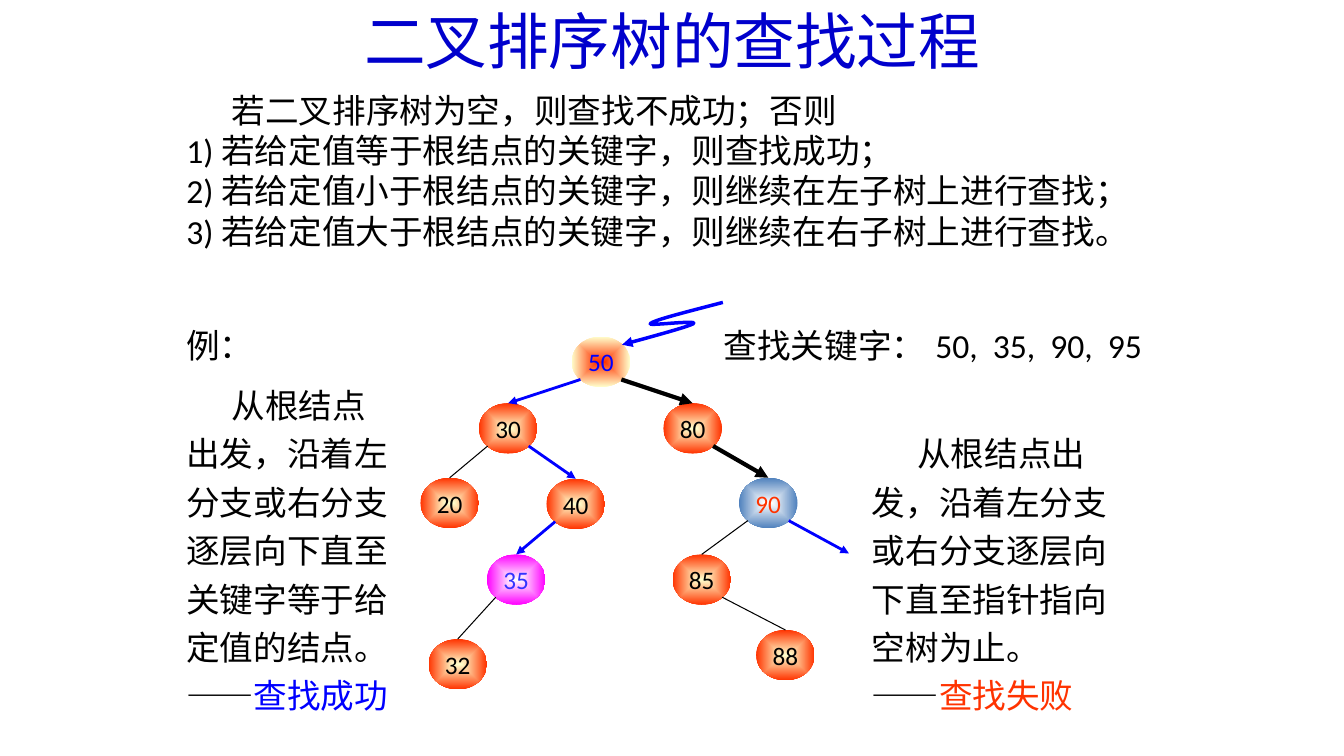
from lxml import etree
from pptx import Presentation
from pptx.dml.color import RGBColor
from pptx.enum.shapes import MSO_CONNECTOR as CONN, MSO_SHAPE as SHAPE
from pptx.enum.text import MSO_ANCHOR as ANCHOR, PP_ALIGN as ALIGN
from pptx.oxml import parse_xml
from pptx.oxml.ns import nsdecls, qn
from pptx.util import Inches, Pt

BLACK = RGBColor(0x00, 0x00, 0x00)
WHITE = RGBColor(0xFF, 0xFF, 0xFF)
BLUE = RGBColor(0x00, 0x00, 0xFF)
NAVY = RGBColor(0x00, 0x00, 0xCC)
INDIGO = RGBColor(0x33, 0x33, 0xFF)
RED = RGBColor(0xFF, 0x33, 0x00)
CREAM = RGBColor(0xFF, 0xFF, 0xCC)
MAGENTA = RGBColor(0xFF, 0x00, 0xFF)
STEEL = RGBColor(0x4F, 0x81, 0xBD)
BODY_FONT, TITLE_FONT = "Calibri", "Noto Sans CJK SC"

# Content
TITLE = "二叉排序树的查找过程"
RULES = ["若二叉排序树为空，则查找不成功；否则",
         "1) 若给定值等于根结点的关键字，则查找成功；",
         "2) 若给定值小于根结点的关键字，则继续在左子树上进行查找；",
         "3) 若给定值大于根结点的关键字，则继续在右子树上进行查找。"]
EXAMPLE = "例："
KEYS = "查找关键字：\t50,\t35,\t90,\t95"
KEY_TABS = [2.1, 2.67, 3.24, 3.81]
SUCCESS = ["从根结点", "出发，沿着左", "分支或右分支", "逐层向下直至", "关键字等于给",
           "定值的结点。", [("——", BLACK), ("查找成功", BLUE)]]
FAILURE = ["从根结点出", "发，沿着左分支", "或右分支逐层向", "下直至指针指向",
           "空树为止。", [("——", BLACK), ("查找失败", RED)]]

# Tree: key -> left, top
NODE_W, NODE_H = 0.58, 0.5
NODES = {50: (5.67, 3.34), 30: (4.75, 4), 80: (6.58, 4), 20: (4.17, 4.74),
         40: (5.42, 4.75), 90: (7.33, 4.74), 35: (4.83, 5.5), 85: (6.67, 5.5),
         32: (4.25, 6.34), 88: (7.5, 6.25)}
PLAIN = (CREAM, RED, BLACK)  # centre, rim, text
MARKED = {50: (RED, CREAM, BLUE), 35: (WHITE, MAGENTA, INDIGO), 90: (WHITE, STEEL, RED)}
EDGES = [(50, 30), (50, 80), (30, 20), (30, 40), (80, 90),
         (40, 35), (90, 85), (35, 32), (85, 88)]
FOUND_PATH = [(50, 30), (30, 40), (40, 35)]
FAILED_PATH = [(50, 80), (80, 90)]
EMPTY_END = (8.42, 5.49)
SQUIGGLE = [(7.17, 3), (6.83, 3.09), (6.5, 3.17), (6.45, 3.21), (6.4, 3.24),
            (6.93, 3.17), (6.88, 3.21), (6.83, 3.24), (6.5, 3.33), (6.17, 3.42)]
CURVE_STEPS = 10

prs = Presentation()
prs.slide_width, prs.slide_height = Inches(13.33), Inches(7.5)
s = prs.slides.add_slide(prs.slide_layouts[6])


def write(tf, lines, size=24, color=BLACK, font=BODY_FONT, align=None,
          spacing=None, indent=0, tabs=()):
    """Fill a text frame; a line is a string or a list of (text, colour)."""
    for i, line in enumerate(lines):
        p = tf.paragraphs[0] if i == 0 else tf.add_paragraph()
        pPr = p._p.get_or_add_pPr()
        if i == 0 and indent:
            pPr.set("indent", str(Inches(indent)))
        if tabs:
            tab_list = etree.SubElement(pPr, qn("a:tabLst"))
            for pos in tabs:
                etree.SubElement(tab_list, qn("a:tab"), pos=str(Inches(pos)), algn="l")
        if align is not None:
            p.alignment = align
        if spacing:
            p.line_spacing = spacing
        for text, tint in [(line, color)] if isinstance(line, str) else line:
            r = p.add_run()
            r.text = text
            r.font.size, r.font.name = Pt(size), font
            r.font.color.rgb = tint
            if font == TITLE_FONT:
                etree.SubElement(r._r.get_or_add_rPr(), qn("a:ea"), typeface=font)


def add_text(x, y, w, h, lines, **fmt):
    tf = s.shapes.add_textbox(*map(Inches, (x, y, w, h))).text_frame
    tf.word_wrap = True
    write(tf, lines, **fmt)


def style_line(shape, color, width, arrow):
    shape.line.color.rgb = color
    shape.line.width = Pt(width)
    if arrow:
        etree.SubElement(shape.line._get_or_add_ln(), qn("a:tailEnd"), type="triangle")


def add_node(key):
    centre, rim, ink = MARKED.get(key, PLAIN)
    sp = s.shapes.add_shape(SHAPE.OVAL, *map(Inches, (*NODES[key], NODE_W, NODE_H)))
    sp.shadow.inherit = False
    sp.line.fill.background()
    sp._element.spPr.find(qn("a:prstGeom")).addnext(parse_xml(
        f'<a:gradFill {nsdecls("a")} rotWithShape="1"><a:gsLst>'
        f'<a:gs pos="0"><a:srgbClr val="{centre}"/></a:gs>'
        f'<a:gs pos="100000"><a:srgbClr val="{rim}"/></a:gs></a:gsLst>'
        '<a:path path="shape"><a:fillToRect l="50000" t="50000" r="50000" b="50000"/>'
        '</a:path></a:gradFill>'))
    tf = sp.text_frame
    tf.word_wrap = False
    tf.vertical_anchor = ANCHOR.MIDDLE
    write(tf, [str(key)], size=18, color=ink, align=ALIGN.CENTER)
    return sp


def add_edge(parent, end, color=BLACK, width=0.75, arrow=False, child=None):
    """Leave the parent's lower rim on the side where the end lies."""
    x, y = NODES[parent]
    side = 0.85 if end[0] > x + NODE_W / 2 else 0.15
    start = (x + side * NODE_W, y + 0.85 * NODE_H)
    c = s.shapes.add_connector(CONN.STRAIGHT, *map(Inches, (*start, *end)))
    if child is not None:
        c.end_connect(child, 0)
    style_line(c, color, width, arrow)
    etree.SubElement(c._element.spPr, qn("a:effectLst"))


def bezier(p0, p1, p2, p3, t):
    u = 1 - t
    return tuple(Inches(u**3 * a + 3 * u * u * t * b + 3 * u * t * t * c + t**3 * d)
                 for a, b, c, d in zip(p0, p1, p2, p3))


# Title and rules
add_text(2.17, 0.06, 9, 1.25, [TITLE], size=44, color=NAVY, font=TITLE_FONT,
         align=ALIGN.CENTER, spacing=0.9)
add_text(1.75, 0.84, 9.72, 1.72, RULES, indent=0.45)

# Example heading, search keys and the two outcomes
add_text(1.75, 3.17, 0.96, 0.5, [EXAMPLE])
add_text(7.08, 3.17, 4.47, 0.5, [KEYS], tabs=KEY_TABS)
add_text(1.75, 3.69, 2.33, 3.46, SUCCESS, spacing=1.2, indent=0.45)
add_text(8.55, 4.17, 2.87, 2.98, FAILURE, spacing=1.2, indent=0.45)

# Search tree
nodes = {key: add_node(key) for key in NODES}
for parent, child in EDGES:
    if (parent, child) in FOUND_PATH:
        look = dict(color=BLUE, width=2, arrow=True)
    elif (parent, child) in FAILED_PATH:
        look = dict(width=3, arrow=True)
    else:
        look = {}
    x, y = NODES[child]
    add_edge(parent, (x + NODE_W / 2, y), child=nodes[child], **look)
add_edge(90, EMPTY_END, color=BLUE, width=2, arrow=True)

# Curved arrow to the root
points = [bezier(*SQUIGGLE[i:i + 4], step / CURVE_STEPS)
          for i in range(0, len(SQUIGGLE) - 1, 3) for step in range(1, CURVE_STEPS + 1)]
fb = s.shapes.build_freeform(*map(Inches, SQUIGGLE[0]))
fb.add_line_segments(points, close=False)
squiggle = fb.convert_to_shape()
squiggle.shadow.inherit = False
squiggle.fill.background()
style_line(squiggle, BLUE, 2.5, True)

prs.save("out.pptx")
